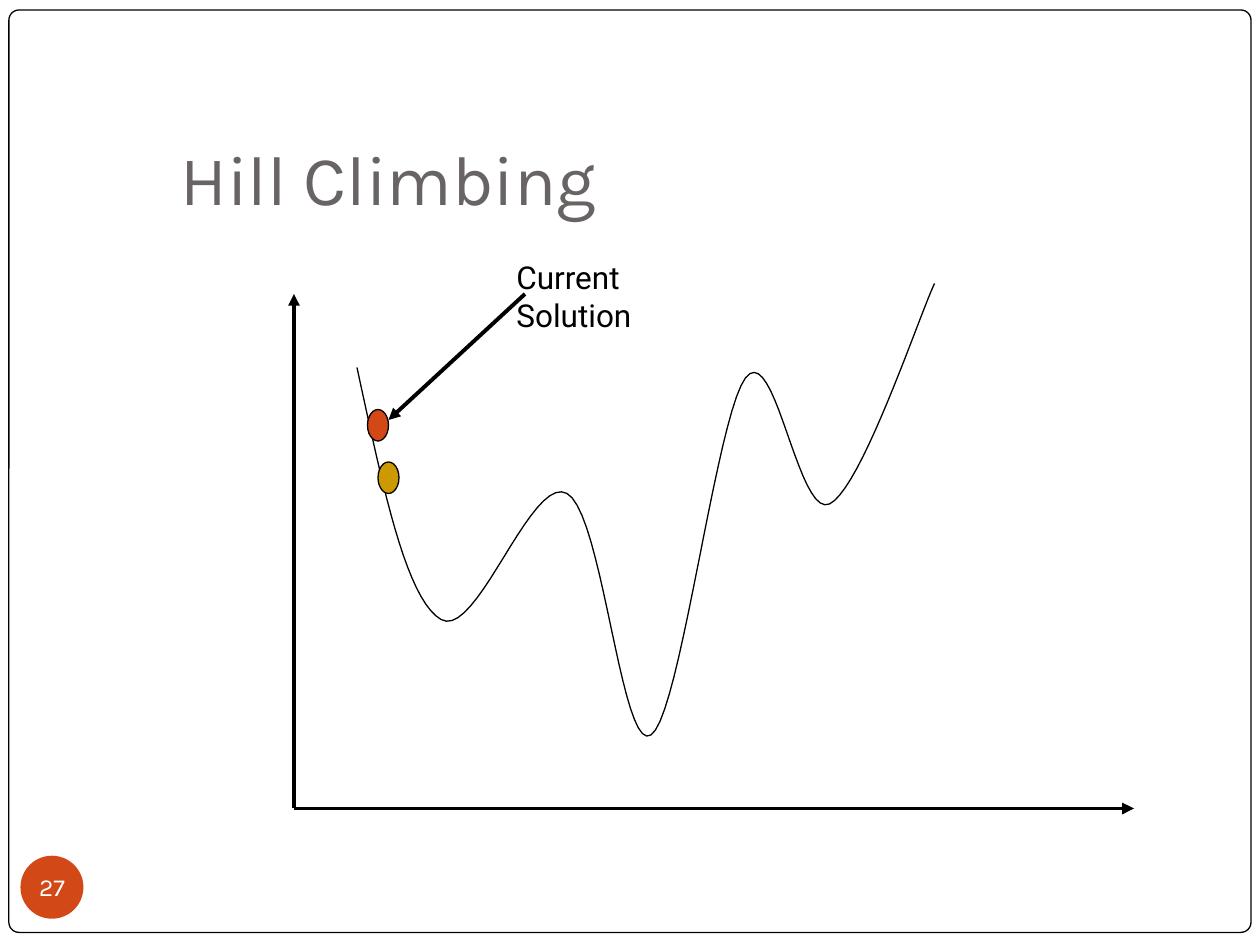
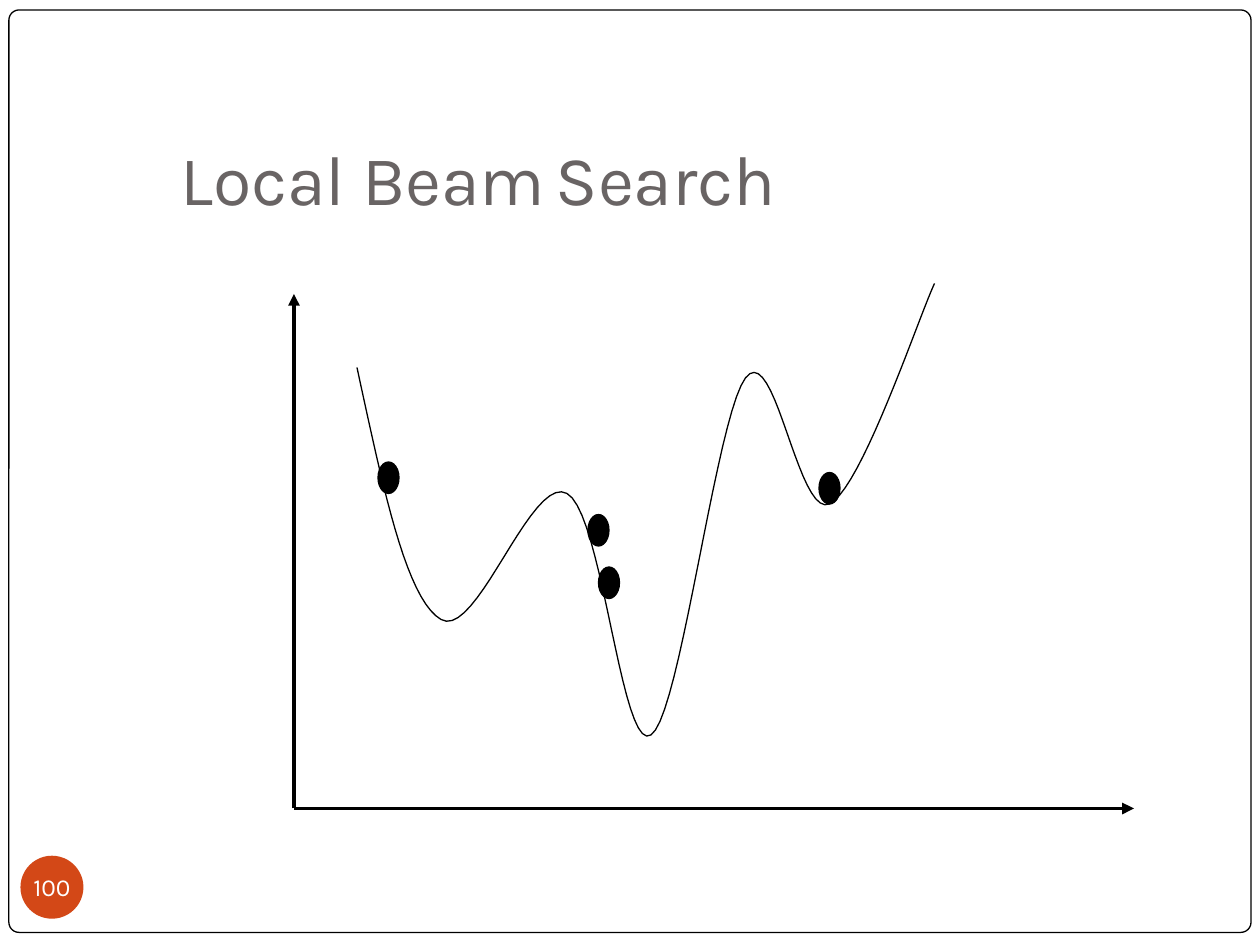
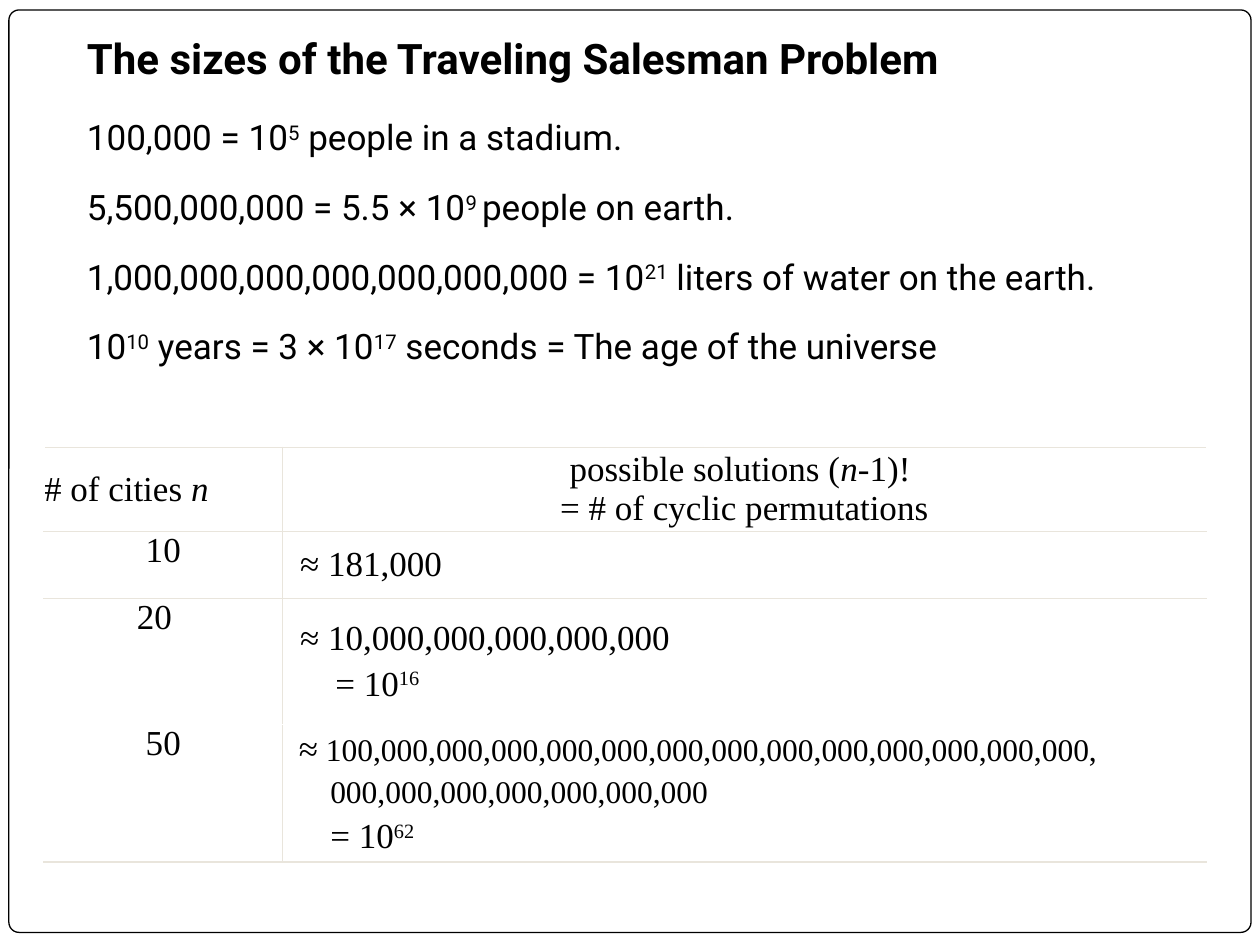
from lxml.etree import SubElement
from pptx import Presentation
from pptx.dml.color import RGBColor
from pptx.enum.shapes import MSO_CONNECTOR, MSO_SHAPE
from pptx.enum.text import MSO_ANCHOR, PP_ALIGN
from pptx.oxml.ns import qn
from pptx.util import Emu, Inches, Pt

BLACK = RGBColor(0x00, 0x00, 0x00)
WHITE = RGBColor(0xFF, 0xFF, 0xFF)
GRAY = RGBColor(0x69, 0x64, 0x64)
ORANGE = RGBColor(0xD3, 0x48, 0x17)
GOLD = RGBColor(0xCC, 0x99, 0x00)
BROWN = RGBColor(0x9B, 0x2D, 0x1F)
RULE = RGBColor(0xE9, 0xE5, 0xDC)

HEADING, BODY, SERIF = "Karla", "Roboto", "Times New Roman"
COLUMNS, ROWS = 120, 90
SLIDE_WIDTH, SLIDE_HEIGHT = Inches(10), Inches(7.5)

ORIGIN, X_END, Y_END = (28, 77), (108, 77), (28, 28)
CURVE_START = (34, 35)
CURVE_SEGMENTS = [
    ((36.4, 46), (38.6, 57), (42, 59)),
    ((45.4, 61), (50.6, 45.1), (54, 47)),
    ((57.4, 48.8), (59.2, 71.9), (62, 70)),
    ((64.8, 68.2), (68.2, 39.7), (71, 36)),
    ((73.8, 32.3), (76, 49.4), (79, 48)),
    ((82, 46.6), (87.4, 30.5), (89, 27)),
]
CURVE_STEPS = 20

FACTS = [
    "100,000 = 10^5^ people in a stadium.",
    "5,500,000,000 = 5.5 × 10^9 ^people on earth.",
    "1,000,000,000,000,000,000,000 = 10^21^ liters of water on the earth.",
    "10^10^ years = 3 × 10^17^ seconds = The age of the universe",
]


def across(columns):
    return Emu(round(SLIDE_WIDTH * columns / COLUMNS))


def down(rows):
    return Emu(round(SLIDE_HEIGHT * rows / ROWS))


def area(left, top, width, height):
    return across(left), down(top), across(width), down(height)


def write(para, text, font=BODY, size=20, color=BLACK, bold=False, italic=False):
    """Add text to a paragraph; parts between carets are superscript."""
    for index, part in enumerate(text.split("^")):
        if not part:
            continue
        span = para.add_run()
        span.text = part
        span.font.name = font
        span.font.size = Pt(size)
        span.font.color.rgb = color
        span.font.bold = bold
        span.font.italic = italic
        if index % 2:
            span._r.get_or_add_rPr().set("baseline", "30000")


def next_para(frame, before=0, indent=0, align=PP_ALIGN.LEFT):
    first = frame.paragraphs[0]
    para = frame.add_paragraph() if first.runs else first
    para.alignment = align
    para.space_before = Pt(before)
    if indent:
        para._p.get_or_add_pPr().set("marL", str(Inches(indent)))
    return para


def add_text_box(page, place, anchor=MSO_ANCHOR.TOP, bottom=0.05):
    frame = page.shapes.add_textbox(*area(*place)).text_frame
    frame.word_wrap = True
    frame.vertical_anchor = anchor
    frame.margin_bottom = Inches(bottom)
    return frame


def add_preset(page, kind, place, fill, line=BLACK):
    shape = page.shapes.add_shape(kind, *area(*place))
    shape.shadow.inherit = False
    shape.fill.solid()
    shape.fill.fore_color.rgb = fill
    if line is None:
        shape.line.fill.background()
    else:
        shape.line.color.rgb = line
        shape.line.width = Pt(0.75)
    return shape


def add_page(deck):
    page = deck.slides.add_slide(deck.slide_layouts[6])
    border = add_preset(page, MSO_SHAPE.ROUNDED_RECTANGLE, (0.85, 0.95, 118.3, 87.85), WHITE)
    border.adjustments[0] = 0.011
    return page


def add_title(page):
    frame = add_text_box(page, (16, 11.3, 102.2, 10.8), MSO_ANCHOR.BOTTOM, bottom=0.1)
    return next_para(frame)


def add_number(page, number):
    badge = add_preset(page, MSO_SHAPE.OVAL, (1.95, 81.5, 6, 6), ORANGE, line=None)
    frame = badge.text_frame
    frame.word_wrap = False
    frame.vertical_anchor = MSO_ANCHOR.MIDDLE
    frame.margin_left = frame.margin_right = frame.margin_top = frame.margin_bottom = 0
    para = next_para(frame, align=PP_ALIGN.CENTER)
    write(para, str(number), font=HEADING, size=14, color=WHITE)


def add_arrow(page, start, end):
    arrow = page.shapes.add_connector(
        MSO_CONNECTOR.STRAIGHT, across(start[0]), down(start[1]), across(end[0]), down(end[1]))
    arrow.line.color.rgb = BLACK
    arrow.line.width = Pt(2.25)
    properties = arrow._element.spPr
    SubElement(properties.find(qn("a:ln")), qn("a:tailEnd"), type="triangle")
    SubElement(properties, qn("a:effectLst"))


def bezier_point(points, share):
    rest = 1 - share
    weights = (rest ** 3, 3 * rest ** 2 * share, 3 * rest * share ** 2, share ** 3)
    x, y = (sum(w * p[axis] for w, p in zip(weights, points)) for axis in (0, 1))
    return across(x), down(y)


def add_curve(page):
    builder = page.shapes.build_freeform(across(CURVE_START[0]), down(CURVE_START[1]))
    start = CURVE_START
    for segment in CURVE_SEGMENTS:
        points = (start, *segment)
        builder.add_line_segments(
            [bezier_point(points, step / CURVE_STEPS) for step in range(1, CURVE_STEPS + 1)],
            close=False)
        start = segment[-1]
    curve = builder.convert_to_shape()
    curve.shadow.inherit = False
    curve.fill.background()
    curve.line.color.rgb = BLACK
    curve.line.width = Pt(0.75)


def add_landscape(page):
    add_arrow(page, ORIGIN, Y_END)
    add_arrow(page, ORIGIN, X_END)
    add_curve(page)


def add_solution(page, left, top, fill=BLACK):
    add_preset(page, MSO_SHAPE.OVAL, (left, top, 2, 3), fill)


def set_borders(cell, **widths):
    properties = cell._tc.get_or_add_tcPr()
    for side in "LRTB":
        if side in widths:
            line = SubElement(properties, qn(f"a:ln{side}"), w=str(Pt(widths[side])))
            fill = SubElement(line, qn("a:solidFill"))
            SubElement(fill, qn("a:srgbClr"), val=str(RULE))


def add_grid(page, place, widths, heights):
    shape = page.shapes.add_table(
        len(heights), len(widths), *area(*place, sum(widths), sum(heights)))
    table = shape.table
    table.first_row = table.horz_banding = False
    for column, width in zip(table.columns, widths):
        column.width = across(width)
    for row, height in zip(table.rows, heights):
        row.height = down(height)
    rules = [1, 1, 0.5, None, 1]
    for row in range(len(heights)):
        for column in range(len(widths)):
            cell = table.cell(row, column)
            borders = {"L" if column else "R": 1, "T": rules[row], "B": rules[row + 1]}
            set_borders(cell, **{side: width for side, width in borders.items() if width})
            cell.fill.background()
            cell.margin_left = cell.margin_right = cell.margin_top = cell.margin_bottom = 0
            centered = column or not row
            cell.vertical_anchor = MSO_ANCHOR.MIDDLE if centered else MSO_ANCHOR.TOP
    return table


def fill_cities(table):
    def line(row, column, text, size=20, **layout):
        para = next_para(table.cell(row, column).text_frame, **layout)
        write(para, text, font=SERIF, size=size)
        return para

    center = PP_ALIGN.CENTER
    write(line(0, 0, "# of cities "), "n", font=SERIF, italic=True)
    solutions = line(0, 1, "possible solutions (", align=center)
    write(solutions, "n-", font=SERIF, italic=True)
    write(solutions, "1)! ", font=SERIF)
    line(0, 1, "= # of cyclic permutations", align=center)
    for row, count in enumerate(("10", "20", "50"), 1):
        line(row, 0, count, align=center)
    table.cell(2, 0).margin_right = Inches(0.14)

    line(1, 1, "≈ 181,000", indent=0.14)
    line(2, 1, "≈ 10,000,000,000,000,000", indent=0.14)
    line(2, 1, "= 10^16^", before=4, indent=0.42)
    largest = line(3, 1, "≈", indent=0.13)
    write(largest, " 100" + ",000" * 13 + ",", font=SERIF, size=18)
    line(3, 1, ",".join(["000"] * 7), size=18, before=3.6, indent=0.38)
    line(3, 1, "= 10^62^", before=4, indent=0.38)


def hill_climbing(deck):
    page = add_page(deck)
    write(add_title(page), "Hill Climbing", font=HEADING, size=40, color=GRAY)
    add_number(page, 27)
    add_landscape(page)
    add_solution(page, 35, 39, ORANGE)
    label = add_text_box(page, (48, 24, 14, 8.4))
    write(next_para(label), "Current Solution", size=18)
    add_arrow(page, (50, 28), (37, 40))
    add_solution(page, 36, 44, GOLD)


def local_beam_search(deck):
    page = add_page(deck)
    title = add_title(page)
    write(title, "Local Beam", font=HEADING, size=40, color=GRAY)
    write(title, " ", font=HEADING, size=28, color=BROWN, italic=True)
    write(title, "Search", font=HEADING, size=40, color=GRAY)
    add_number(page, 100)
    add_landscape(page)
    for left, top in ((56, 49), (36, 44), (57, 54), (78, 45)):
        add_solution(page, left, top)


def salesman_sizes(deck):
    page = add_page(deck)
    frame = add_text_box(page, (7.1, 2.55, 102.3, 34.8))
    write(next_para(frame), "The sizes of the Traveling Salesman Problem", size=24, bold=True)
    for index, fact in enumerate(FACTS):
        write(next_para(frame, before=15.8 if index else 18.6), fact)
    fill_cities(add_grid(page, (4.2, 42.6), (22.7, 88), (8, 6.4, 12, 13.1)))


def main():
    deck = Presentation()
    deck.slide_width, deck.slide_height = SLIDE_WIDTH, SLIDE_HEIGHT
    hill_climbing(deck)
    local_beam_search(deck)
    salesman_sizes(deck)
    deck.save("out.pptx")


if __name__ == "__main__":
    main()
